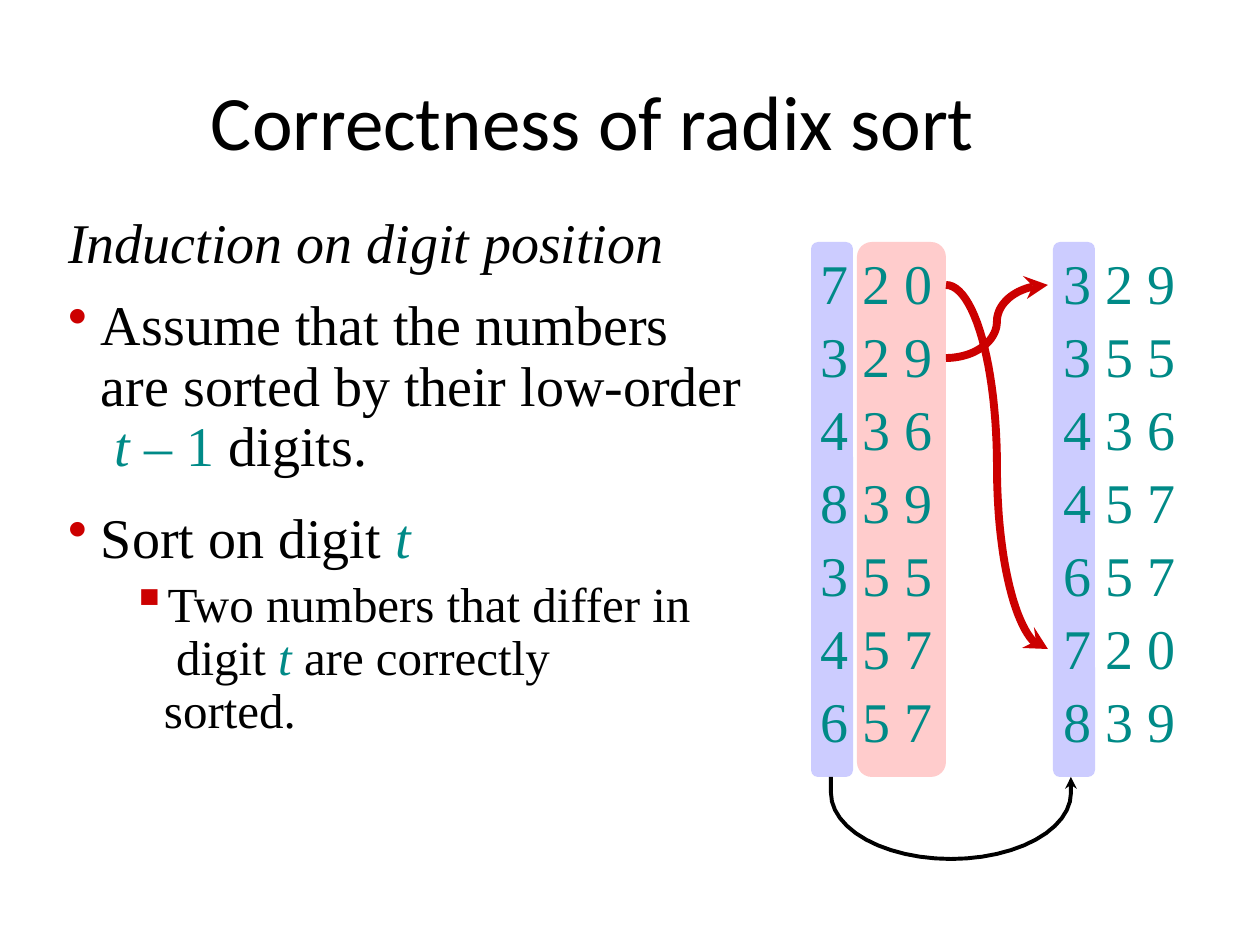
from math import cos, pi, sin

from lxml.etree import SubElement
from pptx import Presentation
from pptx.dml.color import RGBColor
from pptx.enum.shapes import MSO_SHAPE as Preset
from pptx.enum.text import MSO_ANCHOR as Anchor, PP_ALIGN as Align
from pptx.oxml.ns import qn
from pptx.util import Emu, Pt

BLACK = RGBColor(0x00, 0x00, 0x00)
RED = RGBColor(0xCC, 0x00, 0x00)
TEAL = RGBColor(0x00, 0x8A, 0x87)
LAVENDER = RGBColor(0xCC, 0xCC, 0xFF)
PINK = RGBColor(0xFF, 0xCC, 0xCC)
SERIF = "Times New Roman"
NO_STYLE = "{2D5ABB26-0587-4C30-8999-92F81FD0307C}"
SCALE = 914400 / 126

TITLE = "Correctness of radix sort"
VARIABLE = dict(color=TEAL, italic=True)
BODY = [
    ([("Induction on digit position", dict(italic=True))], dict(before=8.7, margin=1)),
    ([("Assume that the numbers are sorted by their low-order", {}), ("\n", {}),
      (" t ", VARIABLE), ("– 1 ", dict(color=TEAL)), ("digits.", {})],
     dict(before=12, line=34.6, margin=34, bullet="•")),
    ([("Sort on digit ", {}), ("t", VARIABLE)], dict(before=13.9, margin=34, bullet="•")),
    ([("Two numbers that differ in", {}), ("\n", {}), (" digit ", {}), ("t ", VARIABLE),
      ("are correctly", {}), ("\n", {}), ("sorted.", {})],
     dict(before=5.7, line=30.2, margin=97, bullet="▪", size=28)),
]
BEFORE = ["7 2 0", "3 2 9", "4 3 6", "8 3 9", "3 5 5", "4 5 7", "6 5 7"]
AFTER = sorted(BEFORE)

BAR_TOP, BAR_HEIGHT = 242, 535
BARS = [(811, 42, LAVENDER), (857, 89, PINK), (1053, 42, LAVENDER)]
# start x, start y, end x, end y, share of the second quarter that is drawn
SWAPS = [(946, 285, 1048, 649, 0.84), (946, 358, 1048, 285, 0.81)]
SWAP_HEADS = [
    [(1034, 627), (1036, 641), (1022, 648), (1048, 649)],
    [(1023, 276), (1033, 286), (1027, 299), (1048, 285)],
]
RETURN_HEAD = [(1071, 777), (1065, 789), (1071, 785), (1077, 789)]


def px(value):
    """Turn pixels into EMU."""
    return Emu(round(value * SCALE))


def add_text(paragraph, pieces, size=32, font=SERIF, color=BLACK, before=0, line=None,
             margin=0, bullet=None, align=Align.LEFT):
    """Fill a paragraph with (text, format) pieces and set its layout."""
    paragraph.alignment = align
    paragraph.space_before = Pt(before)
    if line:
        paragraph.line_spacing = Pt(line)
    properties = paragraph._p.get_or_add_pPr()
    properties.set("marL", str(px(margin)))
    properties.set("indent", str(px(-33 if bullet else 0)))
    if bullet:
        bullet_color = SubElement(properties, qn("a:buClr"))
        SubElement(bullet_color, qn("a:srgbClr"), val=str(RED))
        SubElement(properties, qn("a:buChar"), char=bullet)
    for text, style in pieces:
        if text == "\n":
            paragraph.add_line_break()
            continue
        run = paragraph.add_run()
        run.text = text
        run.font.size = Pt(size)
        run.font.name = font
        run.font.italic = style.get("italic", False)
        run.font.color.rgb = style.get("color", color)


def add_box(slide, left, top, width, height, inset):
    """Add a wrapping text box and return its text frame."""
    frame = slide.shapes.add_textbox(px(left), px(top), px(width), px(height)).text_frame
    frame.word_wrap = True
    frame.margin_left = frame.margin_right = frame.margin_bottom = 0
    frame.margin_top = px(inset)
    return frame


def add_outline(slide, points, color, width=None):
    """Draw an open line of the given width, or a filled polygon without one."""
    points = [(px(x), px(y)) for x, y in points]
    builder = slide.shapes.build_freeform(*points[0])
    builder.add_line_segments(points[1:], close=width is None)
    shape = builder.convert_to_shape()
    shape.shadow.inherit = False
    if width:
        shape.fill.background()
        shape.line.color.rgb = color
        shape.line.width = Pt(width)
    else:
        shape.fill.solid()
        shape.fill.fore_color.rgb = color
        shape.line.fill.background()


def arc(center_x, center_y, radius_x, radius_y, start, end, steps=24):
    """Return points along an ellipse between two angles."""
    angles = [start + (end - start) * step / steps for step in range(steps + 1)]
    return [(center_x + radius_x * cos(a), center_y + radius_y * sin(a)) for a in angles]


def swap_curve(left, start, right, end, share):
    """Join two quarter ellipses into an S curve."""
    middle, radius_x, radius_y = (start + end) / 2, (right - left) / 2, (end - start) / 2
    return (arc(left, middle, radius_x, radius_y, -pi / 2, 0)
            + arc(right, middle, radius_x, radius_y, pi, pi - share * pi / 2)[1:])


def add_bars(slide):
    """Draw the rounded bars behind the digits."""
    for left, width, color in BARS:
        bar = slide.shapes.add_shape(Preset.ROUNDED_RECTANGLE, px(left), px(BAR_TOP),
                                     px(width), px(BAR_HEIGHT))
        bar.shadow.inherit = False
        bar.fill.solid()
        bar.fill.fore_color.rgb = color
        bar.line.fill.background()


def add_numbers(slide):
    """Add the table of numbers before and after the last pass."""
    count = len(BEFORE)
    table = slide.shapes.add_table(count, 2, px(816), px(255), px(360), px(500)).table
    table.first_row = table.horz_banding = False
    table._tbl.tblPr.find(qn("a:tableStyleId")).text = NO_STYLE
    for index, numbers in enumerate(zip(BEFORE, AFTER)):
        table.rows[index].height = px(68 if index in (0, count - 1) else 73)
        for column, number in enumerate(numbers):
            cell = table.cell(index, column)
            cell.fill.background()
            cell.margin_left = cell.margin_right = cell.margin_top = cell.margin_bottom = 0
            add_text(cell.text_frame.paragraphs[0], [(number, {})], color=TEAL,
                     line=38 if index else 35, margin=0 if column else 4,
                     align=Align.RIGHT if column else Align.LEFT)


def main():
    """Build the slide and save it."""
    presentation = Presentation()
    presentation.slide_width, presentation.slide_height = px(1260), px(945)
    slide = presentation.slides.add_slide(presentation.slide_layouts[6])

    add_bars(slide)
    body = add_box(slide, 67, 193, 677, 494, 15)
    for index, (pieces, layout) in enumerate(BODY):
        paragraph = body.add_paragraph() if index else body.paragraphs[0]
        add_text(paragraph, pieces, **layout)
    title = add_box(slide, 210, 71, 823, 96, 1)
    title.vertical_anchor = Anchor.MIDDLE
    add_text(title.paragraphs[0], [(TITLE, {})], size=44, font="Calibri", before=0.9, margin=1)
    add_numbers(slide)

    return_line = [(1071, 785), *arc(951, 793, 120, 66, 0, pi), (831, 777)]
    add_outline(slide, return_line, BLACK, 2.25)
    add_outline(slide, RETURN_HEAD, BLACK)
    for swap, head in zip(SWAPS, SWAP_HEADS):
        add_outline(slide, swap_curve(*swap), RED, 4.5)
        add_outline(slide, head, RED)
    presentation.save("out.pptx")


main()
